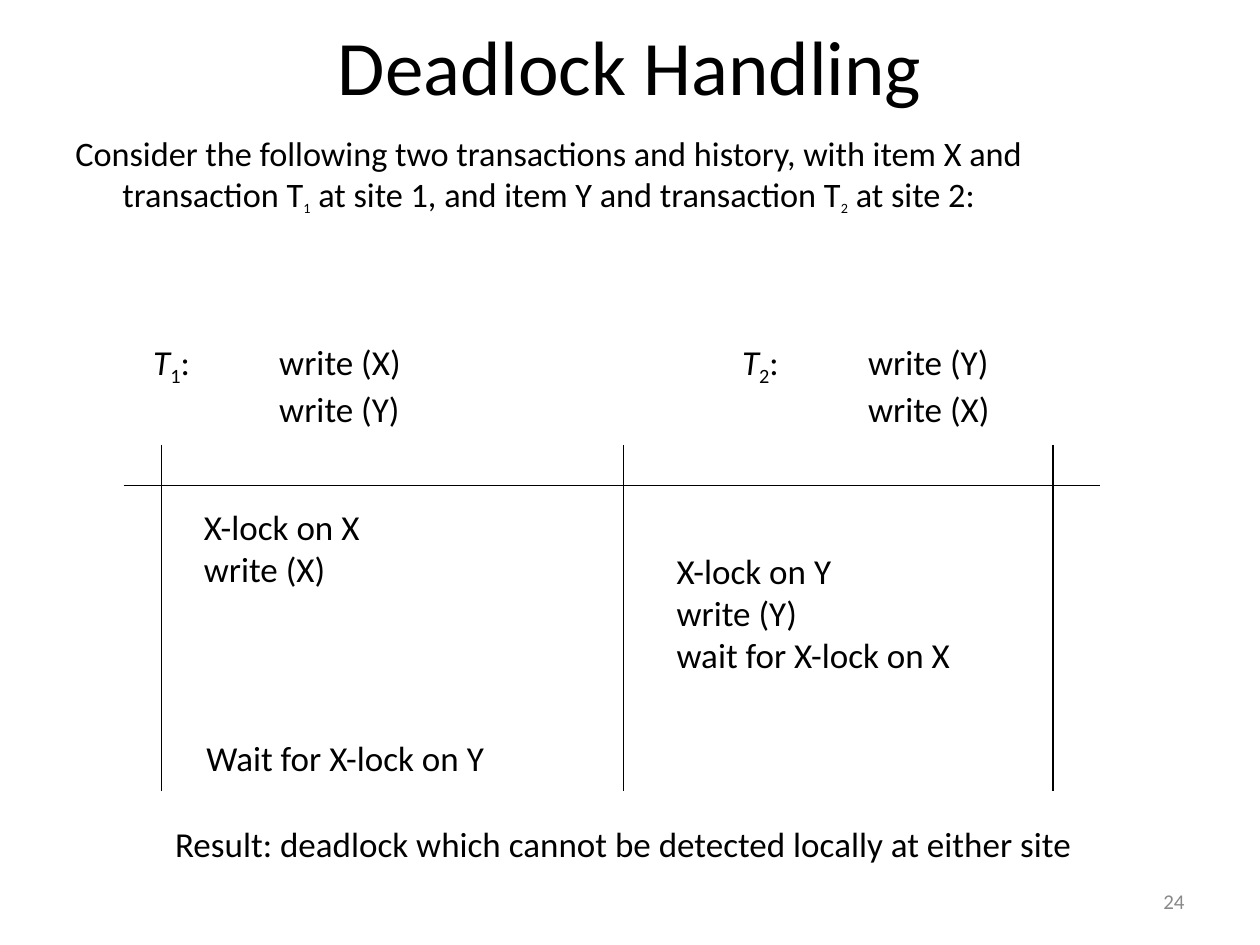
from dataclasses import dataclass, field

import lxml.etree
import pptx
import pptx.dml.color
import pptx.enum.shapes
import pptx.enum.text
import pptx.oxml.ns
import pptx.util

Cm = pptx.util.Cm
Align = pptx.enum.text.PP_ALIGN
Anchor = pptx.enum.text.MSO_ANCHOR


@dataclass(frozen=True)
class Theme:
    font: str = "Calibri"
    ink: pptx.dml.color.RGBColor = pptx.dml.color.RGBColor(0, 0, 0)
    muted: pptx.dml.color.RGBColor = pptx.dml.color.RGBColor(0x89, 0x89, 0x89)
    title: float = 44
    intro: float = 19.6
    intro_subscript: float = 14
    text: float = 20
    page_number: float = 12
    rule: float = 0.75


THEME = Theme()


@dataclass(frozen=True)
class Span:
    text: str
    italic: bool = False
    subscript: bool = False
    size: float | None = None


@dataclass(frozen=True)
class TextBlock:
    left: float
    top: float
    width: float
    height: float
    paragraphs: list[list[Span]]
    size: float = THEME.text
    color: pptx.dml.color.RGBColor = field(default=THEME.ink)
    align: Align = Align.LEFT
    anchor: Anchor = Anchor.TOP
    wrap: bool = False
    hanging: float = 0
    tab: float = 0


@dataclass(frozen=True)
class Rule:
    start: tuple[float, float]
    end: tuple[float, float]


def lines(*texts: str) -> list[list[Span]]:
    return [[Span(text)] for text in texts]


def transaction(left: float, number: str, first: str, second: str) -> TextBlock:
    heading = [Span("T", italic=True), Span(number, subscript=True), Span(f":\twrite ({first})")]
    return TextBlock(left, 6.73, 5.51, 2.08, [heading, [Span(f"\twrite ({second})")]], tab=2.54)


def add_text(slide: pptx.slide.Slide, block: TextBlock) -> None:
    shape = slide.shapes.add_textbox(Cm(block.left), Cm(block.top), Cm(block.width), Cm(block.height))
    frame = shape.text_frame
    frame.word_wrap = block.wrap
    frame.vertical_anchor = block.anchor
    for index, spans in enumerate(block.paragraphs):
        paragraph = frame.add_paragraph() if index else frame.paragraphs[0]
        paragraph.alignment = block.align
        properties = paragraph._p.get_or_add_pPr()
        if block.hanging:
            properties.set("marL", str(Cm(block.hanging)))
            properties.set("indent", str(-Cm(block.hanging)))
        if block.tab:
            tabs = lxml.etree.SubElement(properties, pptx.oxml.ns.qn("a:tabLst"))
            lxml.etree.SubElement(tabs, pptx.oxml.ns.qn("a:tab"), pos=str(Cm(block.tab)), algn="l")
        paragraph.font.name = THEME.font
        paragraph.font.size = pptx.util.Pt(block.size)
        paragraph.font.color.rgb = block.color
        for span in spans:
            run = paragraph.add_run()
            run.text = span.text
            if span.italic:
                run.font.italic = True
            if span.size:
                run.font.size = pptx.util.Pt(span.size)
            if span.subscript:
                run._r.get_or_add_rPr().set("baseline", "-25000")


def add_rule(slide: pptx.slide.Slide, rule: Rule) -> None:
    connector = slide.shapes.add_connector(
        pptx.enum.shapes.MSO_CONNECTOR.STRAIGHT, *map(Cm, rule.start), *map(Cm, rule.end)
    )
    connector.line.color.rgb = THEME.ink
    connector.line.width = pptx.util.Pt(THEME.rule)
    lxml.etree.SubElement(connector._element.spPr, pptx.oxml.ns.qn("a:effectLst"))


INTRO = [
    Span("Consider the following two transactions and history, with item X and transaction T"),
    Span("1", subscript=True, size=THEME.intro_subscript),
    Span(" at site 1, and item Y and transaction T"),
    Span("2", subscript=True, size=THEME.intro_subscript),
    Span(" at site 2:"),
]

TEXT_BLOCKS = [
    TextBlock(1.27, 0.2, 22.86, 2.21, lines("Deadlock Handling"), size=THEME.title,
              align=Align.CENTER, anchor=Anchor.MIDDLE, wrap=True),
    TextBlock(1.27, 2.54, 22, 2.13, [INTRO], size=THEME.intro, wrap=True, hanging=0.95),
    transaction(2.84, "1", "X", "Y"),
    transaction(14.71, "2", "Y", "X"),
    TextBlock(3.86, 10.06, 3.68, 1.96, lines("X-lock on X", "write (X)")),
    TextBlock(13.39, 10.95, 6.07, 2.79, lines("X-lock on Y", "write (Y)", "wait for X-lock on X")),
    TextBlock(3.91, 14.73, 6.17, 1.12, lines("Wait for X-lock on Y")),
    TextBlock(3.28, 16.46, 18.64, 1.12,
              lines("Result: deadlock which cannot be detected locally at either site")),
    TextBlock(18.21, 17.65, 5.92, 1.02, lines("24"), size=THEME.page_number, color=THEME.muted,
              align=Align.RIGHT, anchor=Anchor.MIDDLE, wrap=True),
]

HISTORY_RULES = [Rule((x, 8.97), (x, 15.95)) for x in (3.25, 12.57, 21.23)]
HISTORY_RULES.append(Rule((2.49, 9.78), (22.17, 9.78)))


def main() -> None:
    presentation = pptx.Presentation()
    presentation.slide_width = Cm(25.4)
    presentation.slide_height = Cm(19.05)
    slide = presentation.slides.add_slide(presentation.slide_layouts[6])
    for rule in HISTORY_RULES:
        add_rule(slide, rule)
    for block in TEXT_BLOCKS:
        add_text(slide, block)
    presentation.save("out.pptx")


if __name__ == "__main__":
    main()
